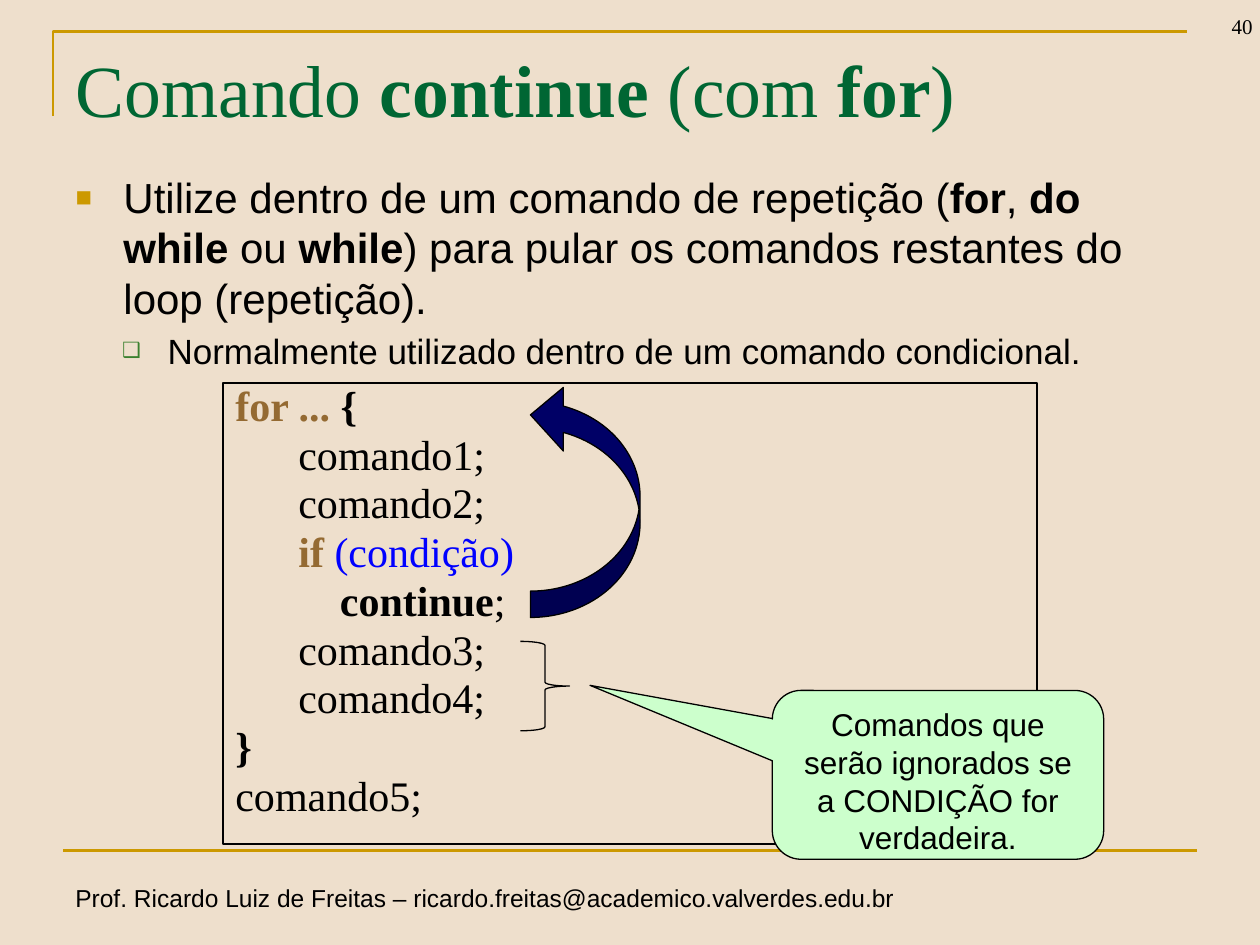
from lxml.etree import SubElement
from pptx import Presentation
from pptx.dml.color import RGBColor
from pptx.enum.shapes import MSO_CONNECTOR, MSO_SHAPE
from pptx.enum.text import MSO_ANCHOR, MSO_AUTO_SIZE, PP_ALIGN
from pptx.oxml.ns import qn
from pptx.util import Inches, Pt

COLORS = {"bg": "EEDFCC", "gold": "CC9900", "title": "006633", "text": "000000",
          "keyword": "946A32", "condition": "0000FF", "navy": "000066",
          "mint": "CCFFCC", "leaf": "3B812F"}
SANS, SERIF = "Arial", "Times New Roman"
WIDTH, HEIGHT = 10, 7.5
MARGIN = 0.5


def rgb(name):
    """Return the palette colour of that name."""
    return RGBColor.from_string(COLORS[name])


class SlideBuilder:
    """Holds the style and the current slide."""

    def __init__(self, prs):
        """Add a slide with the background colour."""
        self.slide = prs.slides.add_slide(prs.slide_layouts[1])
        fill = self.slide.background.fill
        fill.solid()
        fill.fore_color.rgb = rgb("bg")

    def outline(self, sp, color="text", width=0.75):
        """Set the line of a shape or connector."""
        sp.line.color.rgb = rgb(color)
        sp.line.width = Pt(width)

    def place(self, sp, box):
        """Move a placeholder to left, top, width, height."""
        for name, value in zip(("left", "top", "width", "height"), box):
            setattr(sp, name, Inches(value))

    def frame(self, sp, **options):
        """Set the text frame options and return the frame."""
        tf = sp.text_frame
        defaults = {"word_wrap": True, "auto_size": MSO_AUTO_SIZE.NONE,
                    "vertical_anchor": MSO_ANCHOR.TOP}
        for name, value in {**defaults, **options}.items():
            setattr(tf, name, value)
        return tf

    def add_runs(self, p, runs, font, size, color="text", **options):
        """Fill a paragraph with (text, bold, colour) runs or plain strings."""
        for name, value in {"alignment": PP_ALIGN.LEFT, **options}.items():
            setattr(p, name, value)
        for run in runs:
            text, heavy, shade = (run, False, color) if isinstance(run, str) else run
            r = p.add_run()
            r.text = text
            for name, value in {"name": font, "size": Pt(size), "bold": heavy}.items():
                setattr(r.font, name, value)
            r.font.color.rgb = rgb(shade)

    def indent(self, p, left, first=0):
        """Set the left and first-line indents in inches."""
        pPr = p._p.get_or_add_pPr()
        pPr.set("marL", str(Inches(left)))
        pPr.set("indent", str(Inches(first)))

    def space_before(self, p, percent=20):
        """Set the gap above a paragraph as a share of its line."""
        p.space_before = Pt(0)
        gap = p._p.pPr.find(qn("a:spcBef"))
        gap.remove(gap[0])
        SubElement(gap, qn("a:spcPct"), val=str(percent * 1000))

    def bullet(self, p, char, color, percent):
        """Add a bullet to a paragraph."""
        pPr = p._p.get_or_add_pPr()
        clr = SubElement(pPr, qn("a:buClr"))
        SubElement(clr, qn("a:srgbClr"), val=COLORS[color])
        SubElement(pPr, qn("a:buSzPct"), val=str(percent * 1000))
        SubElement(pPr, qn("a:buFont"), typeface=SANS)
        SubElement(pPr, qn("a:buChar"), char=char)

    def title(self, box, runs):
        """Fill the title placeholder."""
        sp = self.slide.shapes.title
        self.place(sp, box)
        self.add_runs(self.frame(sp).paragraphs[0], runs, SERIF, 42, "title")

    def body(self, box, items):
        """Fill the body placeholder with bulleted items."""
        sp = self.slide.placeholders[1]
        self.place(sp, box)
        tf = self.frame(sp)
        for i, (runs, size, left, first, mark) in enumerate(items):
            p = tf.add_paragraph() if i else tf.paragraphs[0]
            self.add_runs(p, runs, SANS, size, level=i)
            self.indent(p, left, first)
            self.space_before(p)
            self.bullet(p, *mark)

    def text(self, box, text, font, size, align=PP_ALIGN.LEFT, **options):
        """Add a one-paragraph text box."""
        sp = self.slide.shapes.add_textbox(*map(Inches, box))
        tf = self.frame(sp, **options)
        self.add_runs(tf.paragraphs[0], [text], font, size, alignment=align)

    def shape(self, kind, box, fill=None, adjust=(), rotation=0):
        """Add an outlined preset shape."""
        sp = self.slide.shapes.add_shape(kind, *map(Inches, box))
        sp.shadow.inherit = False
        sp.rotation = rotation
        for i, value in enumerate(adjust):
            sp.adjustments[i] = value
        if fill:
            sp.fill.solid()
            sp.fill.fore_color.rgb = rgb(fill)
        else:
            sp.fill.background()
        self.outline(sp)
        return sp

    def code(self, box, lines):
        """Add a framed code listing of (indent, runs) lines."""
        tf = self.frame(self.shape(MSO_SHAPE.RECTANGLE, box))
        for i, (left, runs) in enumerate(lines):
            p = tf.add_paragraph() if i else tf.paragraphs[0]
            self.add_runs(p, runs, SERIF, 24, line_spacing=0.8)
            self.indent(p, left)
            self.space_before(p)

    def corner(self, *points):
        """Draw an open gold outline through the points."""
        start, *rest = [tuple(map(Inches, point)) for point in points]
        builder = self.slide.shapes.build_freeform(*start)
        builder.add_line_segments(rest, close=False)
        sp = builder.convert_to_shape()
        sp.shadow.inherit = False
        sp.fill.background()
        self.outline(sp, "gold", 1.5)

    def rule(self, y):
        """Draw a gold rule between the side margins."""
        line = self.slide.shapes.add_connector(
            MSO_CONNECTOR.STRAIGHT, *map(Inches, (MARGIN, y, WIDTH - MARGIN, y)))
        self.outline(line, "gold", 1.5)
        SubElement(line._element.spPr, qn("a:effectLst"))


def bold(text, color="text"):
    """Return a bold run."""
    return text, True, color


prs = Presentation()
prs.slide_width, prs.slide_height = Inches(WIDTH), Inches(HEIGHT)
s = SlideBuilder(prs)
content = WIDTH - 2 * MARGIN

s.corner((0.42, 0.92), (0.42, 0.25), (9.42, 0.25))
s.rule(0.9 * HEIGHT)
s.text((MARGIN, 6.96, 6.86, 0.34),
       "Prof. Ricardo Luiz de Freitas – ricardo.freitas@academico.valverdes.edu.br",
       SANS, 14, word_wrap=False)
s.title((MARGIN, 0.3, content, 1.25),
        ["Comando ", bold("continue", "title"), " (com ", bold("for", "title"), ")"])
s.body((MARGIN, 1.31, content, 2.55), [
    (["Utilize dentro de um comando de repetição (", bold("for"), ", ",
      bold("do while"), " ou ", bold("while"),
      ") para pular os comandos restantes do loop (repetição)."],
     24, 0.38, -0.38, ("■", "gold", 65)),
    (["Normalmente utilizado dentro de um comando condicional."],
     20, 0.73, -0.36, ("❑", "leaf", 60))])
s.text((9.29, -0.14, 0.75, 0.5), "40", SERIF, 12, PP_ALIGN.RIGHT,
       vertical_anchor=MSO_ANCHOR.BOTTOM)

BLOCK, NESTED = 0.5, 0.83
s.code((1.77, 3.04, 6.46, 3.66), [
    (0, [bold("for ... ", "keyword"), bold("{")]),
    (BLOCK, ["comando1;"]),
    (BLOCK, ["comando2;"]),
    (BLOCK, [bold("if ", "keyword"), ("(condição)", False, "condition")]),
    (NESTED, [bold("continue"), ";"]),
    (BLOCK, ["comando3;"]),
    (BLOCK, ["comando4;"]),
    (0, [bold("}")]),
    (0, ["comando5;"])])
s.shape(MSO_SHAPE.CURVED_RIGHT_ARROW, (4.21, 3.04, 0.87, 1.86), "navy",
        (0.24, 0.58, 0.3), 180)
s.shape(MSO_SHAPE.RIGHT_BRACE, (4.13, 5.09, 0.39, 0.71), adjust=(0.08, 0.5))
callout = s.shape(MSO_SHAPE.ROUNDED_RECTANGULAR_CALLOUT, (6.13, 5.48, 2.63, 1.34),
                  "mint", (-1.05, -0.53, 0.17))
s.add_runs(s.frame(callout).paragraphs[0],
           ["Comandos que serão ignorados se a CONDIÇÃO for verdadeira."],
           SANS, 18, alignment=PP_ALIGN.CENTER)
prs.save("out.pptx")
